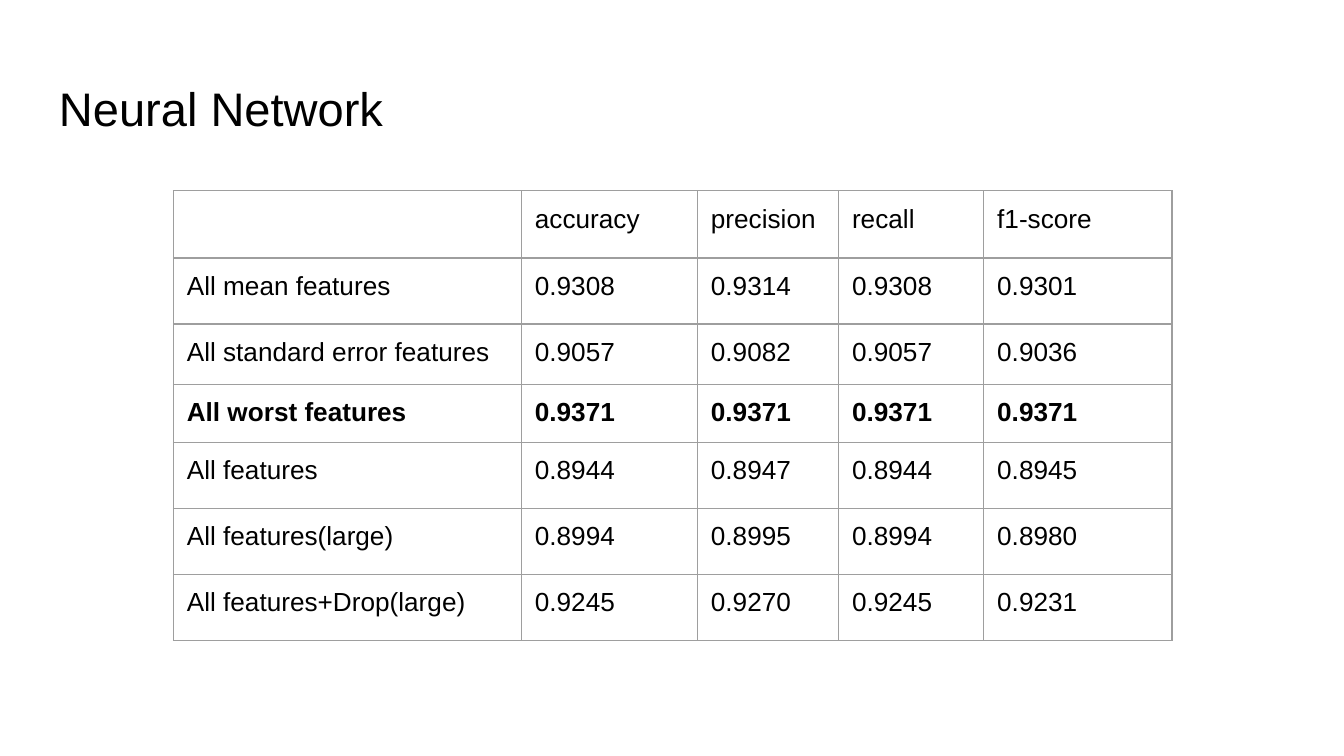
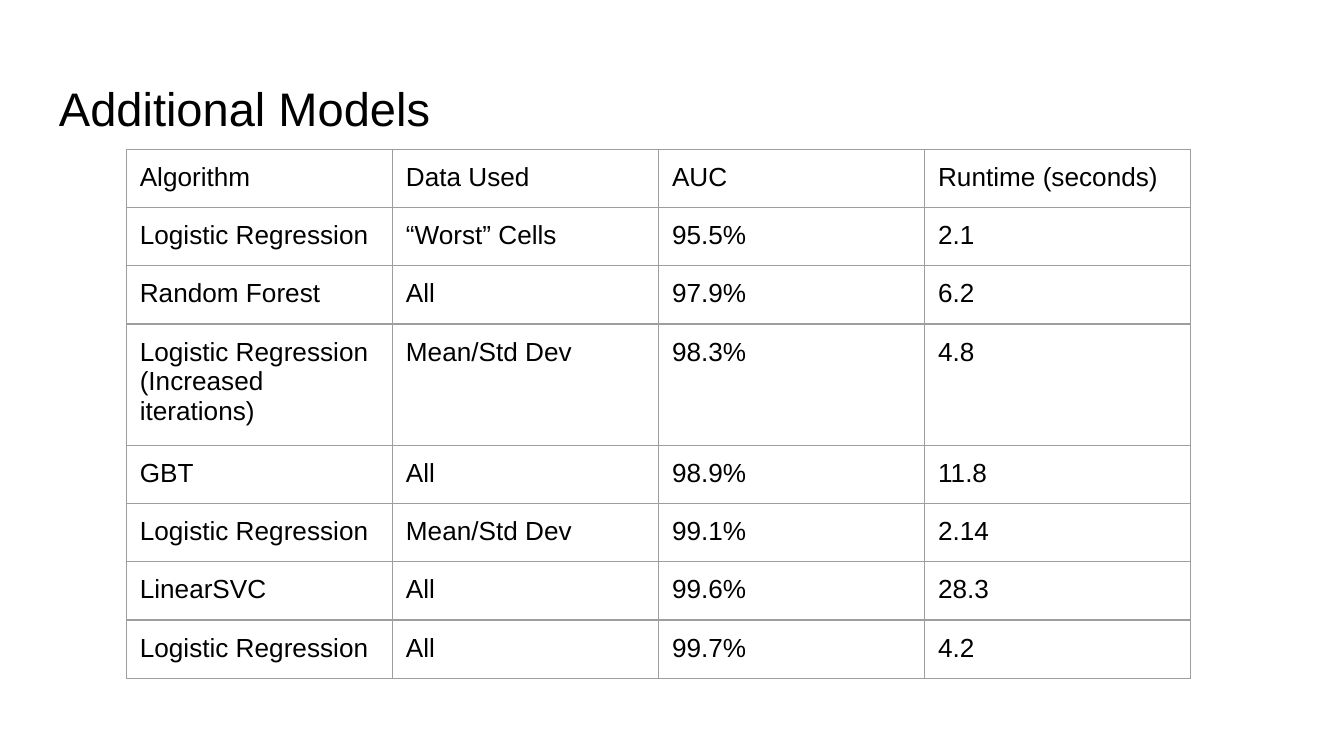
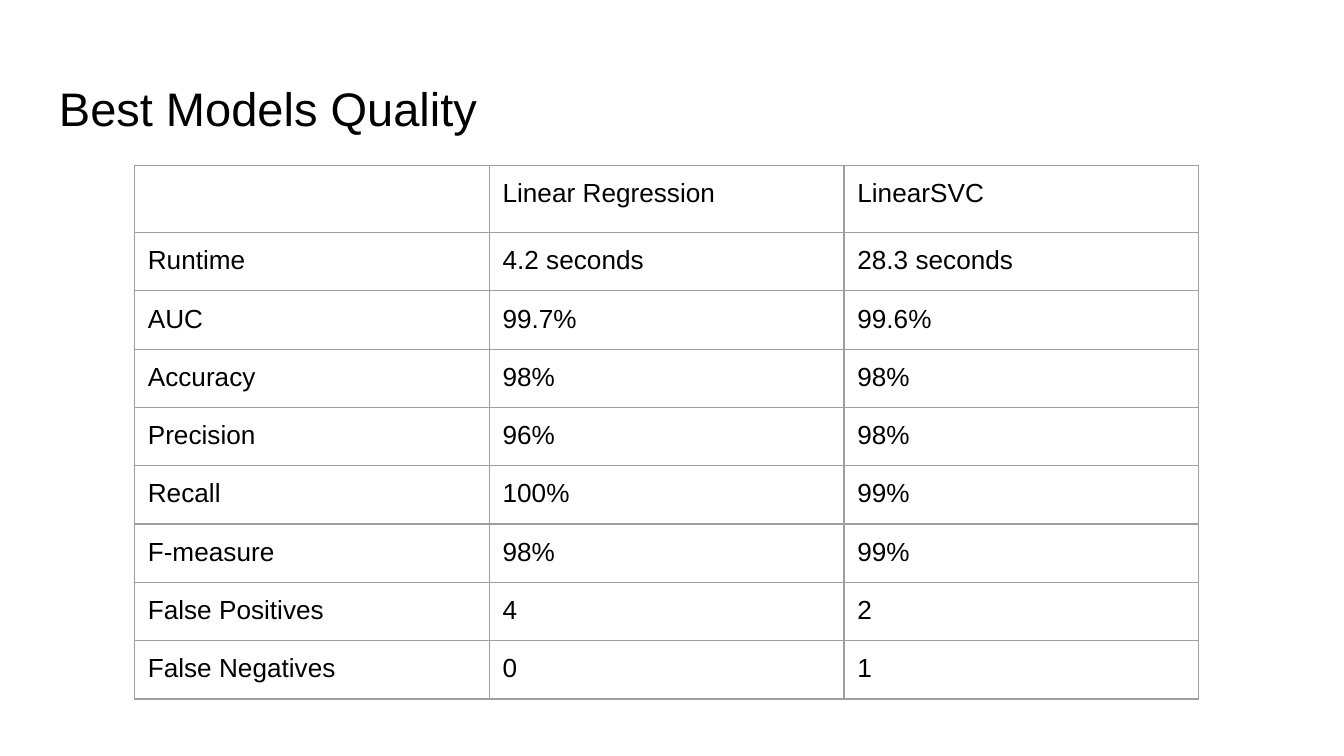
from lxml.etree import SubElement
from pptx import Presentation
from pptx.dml.color import RGBColor
from pptx.oxml.ns import qn
from pptx.util import Inches, Pt

FONT = "Arial"
BLACK = "000000"
BORDER_GRAY = "9E9E9E"
BORDER_WIDTH = Pt(0.75)
ROW_HEIGHT = 0.42
FRAME_SIZE = Inches(3.28)
MARGIN = Inches(0.1)

TABLE_SLIDES = [
    {
        "title": "Neural Network",
        "position": (1.29, 1.42),
        "columns": [2.59, 1.31, 1.05, 1.08, 1.4],
        "heights": [0.32, 0.49, 0.45, 0.36, 0.49, 0.49, 0.49],
        "bold_row": 3,
        "rows": [
            ["", "accuracy", "precision", "recall", "f1-score"],
            ["All mean features", "0.9308", "0.9314", "0.9308", "0.9301"],
            ["All standard error features", "0.9057", "0.9082", "0.9057", "0.9036"],
            ["All worst features", "0.9371", "0.9371", "0.9371", "0.9371"],
            ["All features", "0.8944", "0.8947", "0.8944", "0.8945"],
            ["All features(large)", "0.8994", "0.8995", "0.8994", "0.8980"],
            ["All features+Drop(large)", "0.9245", "0.9270", "0.9245", "0.9231"],
        ],
    },
    {
        "title": "Additional Models",
        "position": (0.94, 1.11),
        "columns": [1.98] * 4,
        "heights": [ROW_HEIGHT] * 8,
        "bold_row": None,
        "rows": [
            ["Algorithm", "Data Used", "AUC", "Runtime (seconds)"],
            ["Logistic Regression", "“Worst” Cells", "95.5%", "2.1"],
            ["Random Forest", "All", "97.9%", "6.2"],
            ["Logistic Regression (Increased iterations)", "Mean/Std Dev", "98.3%", "4.8"],
            ["GBT", "All", "98.9%", "11.8"],
            ["Logistic Regression", "Mean/Std Dev", "99.1%", "2.14"],
            ["LinearSVC", "All", "99.6%", "28.3"],
            ["Logistic Regression", "All", "99.7%", "4.2"],
        ],
    },
    {
        "title": "Best Models Quality",
        "position": (1, 1.23),
        "columns": [2.64] * 3,
        "heights": [ROW_HEIGHT] * 9,
        "bold_row": None,
        "rows": [
            ["", "Linear Regression", "LinearSVC"],
            ["Runtime", "4.2 seconds", "28.3 seconds"],
            ["AUC", "99.7%", "99.6%"],
            ["Accuracy", "98%", "98%"],
            ["Precision", "96%", "98%"],
            ["Recall", "100%", "99%"],
            ["F-measure", "98%", "99%"],
            ["False Positives", "4", "2"],
            ["False Negatives", "0", "1"],
        ],
    },
]


def write_text(holder, text, size=14, bold=False, color=BLACK):
    """Write one formatted run into a text frame or a table cell."""
    holder.margin_left = holder.margin_right = MARGIN
    holder.margin_top = holder.margin_bottom = MARGIN
    frame = getattr(holder, "text_frame", holder)
    frame.word_wrap = True
    paragraph = frame.paragraphs[0]
    paragraph.line_spacing = 1.0
    paragraph.space_before = paragraph.space_after = Pt(0)
    if not text:
        return
    run = paragraph.add_run()
    run.text = text
    run.font.name = FONT
    run.font.size = Pt(size)
    run.font.bold = bold
    run.font.color.rgb = RGBColor.from_string(color)


def outline_cell(cell):
    """Give a cell four thin gray borders and no fill."""
    properties = cell._tc.get_or_add_tcPr()
    for side in ("a:lnL", "a:lnR", "a:lnT", "a:lnB"):
        line = SubElement(properties, qn(side), w=str(BORDER_WIDTH))
        fill = SubElement(line, qn("a:solidFill"))
        SubElement(fill, qn("a:srgbClr"), val=BORDER_GRAY)
    cell.fill.background()


presentation = Presentation()
presentation.slide_width = Inches(10)
presentation.slide_height = presentation.slide_width * 9 // 16
blank_layout = presentation.slide_layouts[6]

for content in TABLE_SLIDES:
    slide = presentation.slides.add_slide(blank_layout)
    title = slide.shapes.add_textbox(Inches(0.34), Inches(0.49), Inches(9.32), Inches(0.63))
    write_text(title.text_frame, content["title"], size=25.2)

    rows, columns = content["rows"], content["columns"]
    left, top = content["position"]
    table_frame = slide.shapes.add_table(
        len(rows), len(columns), Inches(left), Inches(top), FRAME_SIZE, FRAME_SIZE
    )
    table = table_frame.table
    table.first_row = False
    table.horz_banding = False
    for column, width in zip(table.columns, columns):
        column.width = Inches(width)
    for row, height in zip(table.rows, content["heights"]):
        row.height = Inches(height)
    table_frame.width = table_frame.height = FRAME_SIZE
    for row_index, values in enumerate(rows):
        for column_index, value in enumerate(values):
            cell = table.cell(row_index, column_index)
            write_text(cell, value, bold=row_index == content["bold_row"])
            outline_cell(cell)

presentation.save("out.pptx")
